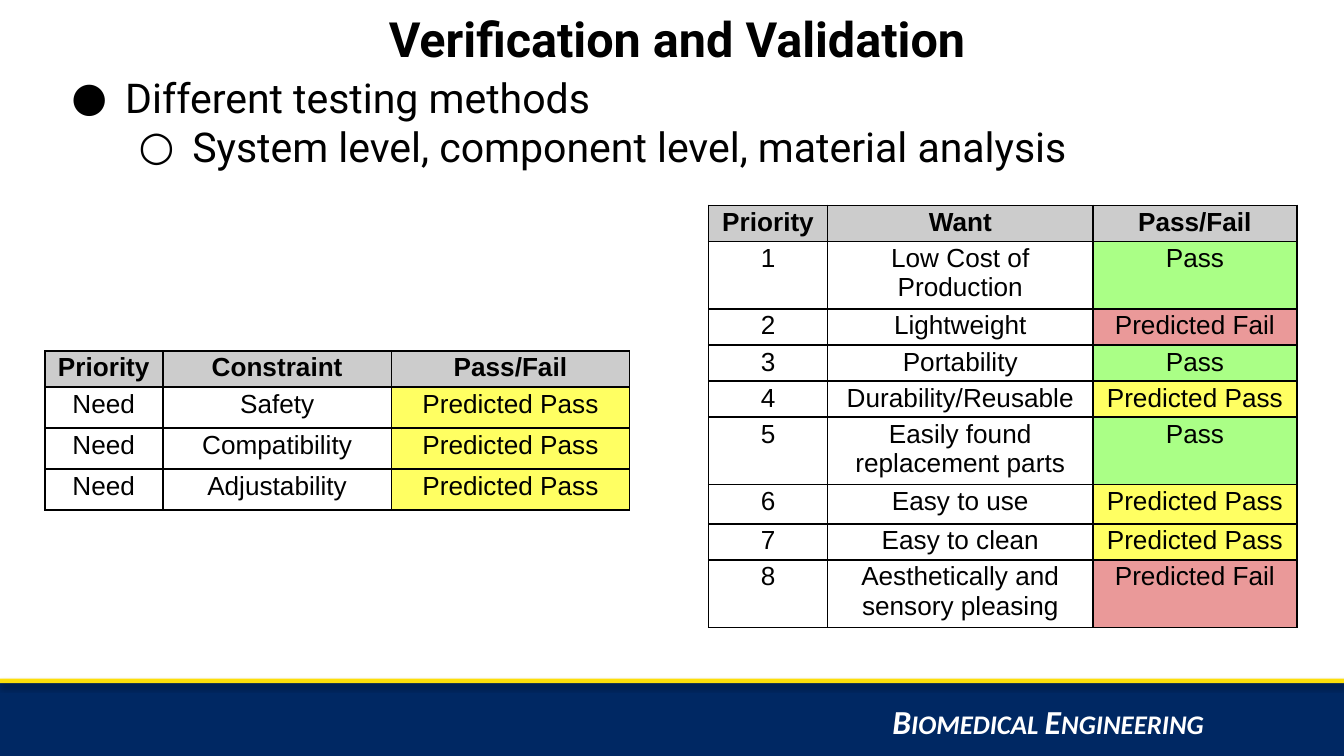
import pptx
import pptx.dml.color
import pptx.enum.shapes
import pptx.enum.text
import pptx.oxml
import pptx.oxml.ns
import pptx.util

Pt = pptx.util.Pt
RGB = pptx.dml.color.RGBColor
CENTER = pptx.enum.text.PP_ALIGN.CENTER

NAVY = RGB(0x00, 0x28, 0x63)
GOLD = RGB(0xFD, 0xDF, 0x0A)
WHITE = RGB(0xFF, 0xFF, 0xFF)
BLACK = RGB(0x00, 0x00, 0x00)
GRAY = RGB(0xCC, 0xCC, 0xCC)
VERDICT_COLORS = {
    "Pass": RGB(0xAA, 0xFF, 0x86),
    "Predicted Pass": RGB(0xFF, 0xFF, 0x62),
    "Predicted Fail": RGB(0xEA, 0x99, 0x99),
}

SLIDE_WIDTH, SLIDE_HEIGHT = 720, 405
SINGLE_ROW, TALL_ROW, DOUBLE_ROW = 18.6, 22, 34.4

CONSTRAINTS = [
    ("Priority", "Constraint", "Pass/Fail"),
    ("Need", "Safety", "Predicted Pass"),
    ("Need", "Compatibility", "Predicted Pass"),
    ("Need", "Adjustability", "Predicted Pass"),
]
WANTS = [
    ("Priority", "Want", "Pass/Fail"),
    ("1", "Low Cost of Production", "Pass"),
    ("2", "Lightweight", "Predicted Fail"),
    ("3", "Portability", "Pass"),
    ("4", "Durability/Reusable", "Predicted Pass"),
    ("5", "Easily found replacement parts", "Pass"),
    ("6", "Easy to use", "Predicted Pass"),
    ("7", "Easy to clean", "Predicted Pass"),
    ("8", "Aesthetically and sensory pleasing", "Predicted Fail"),
]


def xml_element(markup):
    """Parse one element, given without its opening bracket, in the a: namespace."""
    tag, rest = markup[:markup.index(" ")], markup[markup.index(" "):]
    return pptx.oxml.parse_xml(f"<{tag} {pptx.oxml.ns.nsdecls('a')}{rest}")


def add_run(paragraph, text, size, font, color, bold=False, italic=False):
    run = paragraph.add_run()
    run.text = text
    run.font.size = Pt(size)
    run.font.name = font
    run.font.color.rgb = color
    run.font.bold = bold
    run.font.italic = italic
    return run


def add_bar(slide, left, top, width, height, color):
    """Add a plain bar with a soft shadow below it."""
    bar = slide.shapes.add_shape(
        pptx.enum.shapes.MSO_SHAPE.RECTANGLE, Pt(left), Pt(top), Pt(width), Pt(height))
    bar.fill.solid()
    bar.fill.fore_color.rgb = color
    bar.line.fill.background()
    bar.shadow.inherit = False
    effects = bar.element.spPr.find(pptx.oxml.ns.qn("a:effectLst"))
    effects.append(xml_element(
        f'a:outerShdw blurRad="{Pt(3.1)}" dist="{Pt(1.8)}" dir="5400000" rotWithShape="0">'
        '<a:srgbClr val="000000"><a:alpha val="35000"/></a:srgbClr></a:outerShdw>'))


def add_footer(slide, left, top, width, height):
    gold_height = 2.4
    add_bar(slide, left, top + gold_height, width, height - gold_height, NAVY)
    department = slide.shapes.add_textbox(
        Pt(left + 471), Pt(top + 8.6), Pt(width - 471), Pt(21.6))
    department.text_frame.word_wrap = True
    run = add_run(department.text_frame.paragraphs[0], "Biomedical Engineering",
                  18, "Calibri", WHITE, bold=True, italic=True)
    run.font._element.set("cap", "small")
    add_bar(slide, left, top, width, gold_height, GOLD)


def place_title(slide, left, top, width, height):
    title = slide.shapes.title
    title.left, title.top, title.width, title.height = map(Pt, (left, top, width, height))
    frame = title.text_frame
    frame.word_wrap = True
    frame.auto_size = pptx.enum.text.MSO_AUTO_SIZE.NONE
    frame.vertical_anchor = pptx.enum.text.MSO_ANCHOR.MIDDLE
    frame.paragraphs[0].alignment = CENTER
    add_run(frame.paragraphs[0], "Verification and Validation", 26, "Roboto", BLACK, bold=True)


def add_methods(slide, left, top, width, height):
    frame = slide.shapes.add_textbox(Pt(left), Pt(top), Pt(width), Pt(height)).text_frame
    frame.word_wrap = True
    points = [("●", "Different testing methods"),
              ("○", "System level, component level, material analysis")]
    for level, (bullet, text) in enumerate(points):
        paragraph = frame.add_paragraph() if level else frame.paragraphs[0]
        paragraph.level = level
        properties = paragraph._p.get_or_add_pPr()
        properties.set("marL", str(Pt(36 * (level + 1))))
        properties.set("indent", str(Pt(-28.8)))
        for markup in ('a:buClr ><a:srgbClr val="000000"/></a:buClr>',
                       'a:buFont typeface="Roboto"/>',
                       f'a:buChar char="{bullet}"/>'):
            properties.append(xml_element(markup))
        add_run(paragraph, text, 22, "Roboto", BLACK)


def format_cell(cell, text, is_header):
    cell.margin_left = cell.margin_right = 0
    cell.margin_top = cell.margin_bottom = Pt(1.25)
    for side in ("lnL", "lnR", "lnT", "lnB"):
        cell._tc.get_or_add_tcPr().append(xml_element(
            f'a:{side} w="{Pt(1)}"><a:solidFill><a:srgbClr val="000000"/></a:solidFill></a:{side}>'))
    color = GRAY if is_header else VERDICT_COLORS.get(text)
    if color is None:
        cell.fill.background()
    else:
        cell.fill.solid()
        cell.fill.fore_color.rgb = color
    paragraph = cell.text_frame.paragraphs[0]
    paragraph.alignment = CENTER
    paragraph.space_after = Pt(2)
    add_run(paragraph, text, 14, "Arial", BLACK, bold=is_header)


def add_verdict_table(slide, left, top, column_widths, row_heights, rows):
    table = slide.shapes.add_table(
        len(rows), len(column_widths), Pt(left), Pt(top),
        Pt(sum(column_widths)), Pt(sum(row_heights))).table
    table.first_row = table.horz_banding = False
    for column, width in zip(table.columns, column_widths):
        column.width = Pt(width)
    for row_index, (row, height, texts) in enumerate(zip(table.rows, row_heights, rows)):
        row.height = Pt(height)
        for cell, text in zip(row.cells, texts):
            format_cell(cell, text, is_header=row_index == 0)


def main():
    presentation = pptx.Presentation()
    presentation.slide_width = Pt(SLIDE_WIDTH)
    presentation.slide_height = Pt(SLIDE_HEIGHT)
    slide = presentation.slides.add_slide(
        presentation.slide_layouts.get_by_name("Title Only"))

    footer_top = 363.6
    add_footer(slide, 0, footer_top, SLIDE_WIDTH, SLIDE_HEIGHT - footer_top)
    place_title(slide, 24, 2.4, 678, 36)
    add_methods(slide, 24, 35.4, 678, 86.4)
    add_verdict_table(slide, 24, 188, (63.2, 122.6, 127.4),
                      [SINGLE_ROW] + [TALL_ROW] * 3, CONSTRAINTS)
    wants_heights = [SINGLE_ROW, DOUBLE_ROW, SINGLE_ROW, SINGLE_ROW, SINGLE_ROW,
                     DOUBLE_ROW, 21, SINGLE_ROW, DOUBLE_ROW]
    add_verdict_table(slide, 379.6, 110, (63.8, 142.2, 109.2), wants_heights, WANTS)

    presentation.save("out.pptx")


if __name__ == "__main__":
    main()
